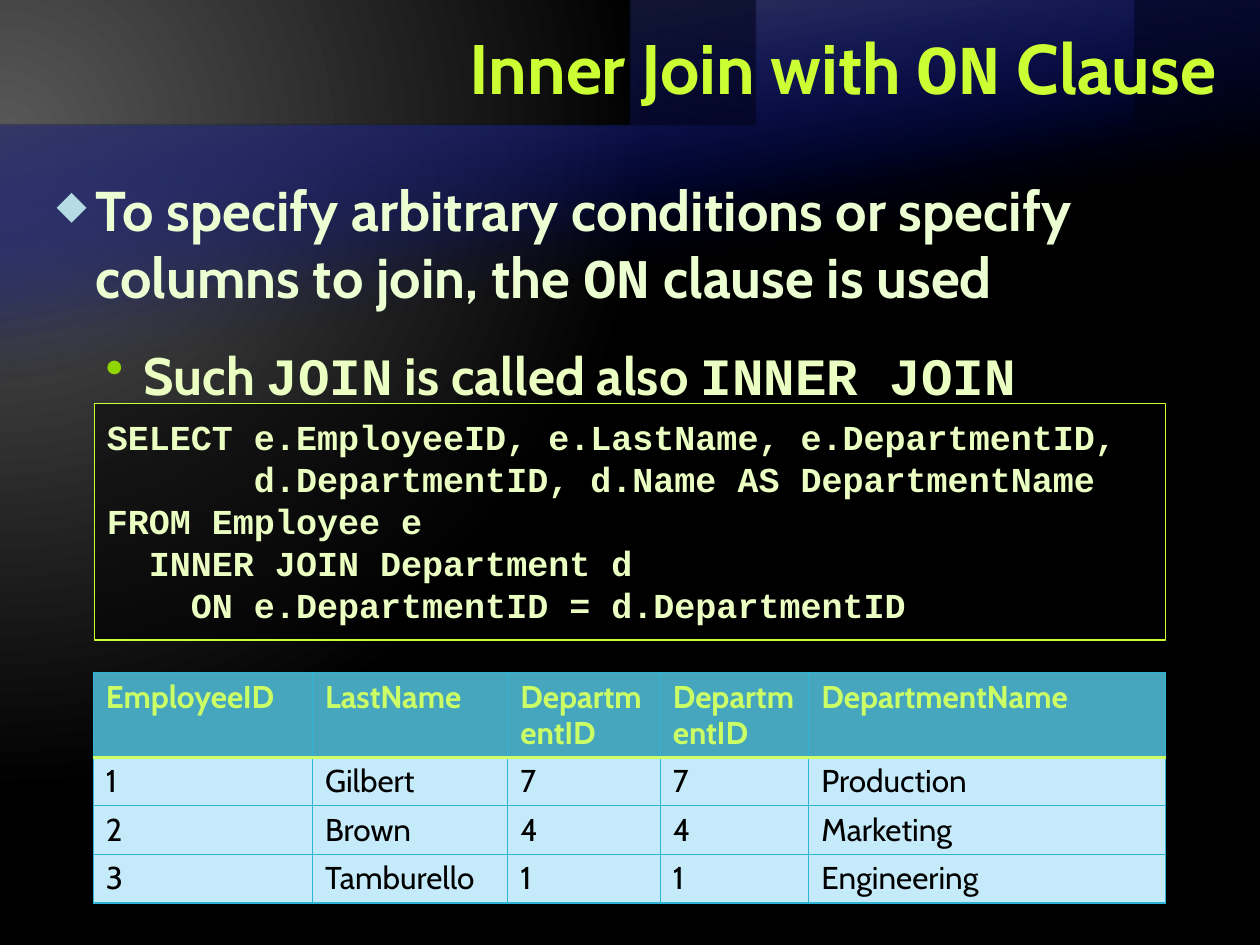
from pptx import Presentation
from pptx.dml.color import RGBColor
from pptx.enum.shapes import MSO_SHAPE as Shape
from pptx.enum.text import MSO_ANCHOR as Anchor, PP_ALIGN as Align
from pptx.oxml import parse_xml
from pptx.oxml.ns import nsdecls, qn
from pptx.util import Inches, Pt
from lxml.etree import SubElement

SANS, MONO = "Cabin", "Courier New"
LIME = RGBColor(0xCC, 0xFF, 0x33)
LIME_SOFT = RGBColor(0xCC, 0xFF, 0x66)
MINT = RGBColor(0xEB, 0xFF, 0xD2)
MINT_SOFT = RGBColor(0xEB, 0xFF, 0xC2)
BULLET_BLUE = RGBColor(0xB5, 0xDB, 0xE5)
BULLET_GREEN = RGBColor(0x8F, 0xD6, 0x00)
HEADER_BLUE = RGBColor(0x46, 0xA6, 0xBD)
CELL_BLUE = RGBColor(0xC5, 0xEA, 0xFA)
BORDER_BLUE = RGBColor(0x2E, 0xB5, 0xD5)
BLACK = RGBColor(0, 0, 0)

# Content: runs are (text, font name)
TITLE = [("Inner Join with ", SANS), ("ON", MONO), (" Clause", SANS)]
BULLETS = [
    dict(runs=[("To specify arbitrary conditions or specify columns to join, the ", SANS),
               ("ON", MONO), (" clause is used", SANS)],
         char="◆", char_color=BULLET_BLUE, char_size=70, left=0.31, hang=0.31,
         before=0, size=32, color=MINT),
    dict(runs=[("Such ", SANS), ("JOIN", MONO), (" is called also ", SANS),
               ("INNER JOIN", MONO)],
         char="•", char_color=BULLET_GREEN, char_size=100, left=0.69, hang=0.3,
         before=11, size=30, color=MINT_SOFT),
]
CODE = [
    "SELECT e.EmployeeID, e.LastName, e.DepartmentID,",
    "       d.DepartmentID, d.Name AS DepartmentName",
    "FROM Employee e",
    "  INNER JOIN Department d",
    "    ON e.DepartmentID = d.DepartmentID",
]
RESULT = [
    ("EmployeeID", "LastName", "DepartmentID", "DepartmentID", "DepartmentName"),
    ("1", "Gilbert", "7", "7", "Production"),
    ("2", "Brown", "4", "4", "Marketing"),
    ("3", "Tamburello", "1", "1", "Engineering"),
]
COLUMN_WIDTHS = [1.74, 1.55, 1.21, 1.18, 2.83]
ROW_HEIGHTS = [0.67] + [0.38] * 3
# Waves: curve control points from left to right, bottom, opaque end colour
WAVES = [
    ([(0, 1.33), (5, 1.33), (5.34, -0.75), (10, 0.45)], 6.53, "262626"),
    ([(0, 1.33), (5, 1.33), (5.98, -0.49), (10, 0.67)], 5.57, "595959"),
]


def add_run(paragraph, text, font_name, size, color, bold=True):
    run = paragraph.add_run()
    run.text = text
    for key, value in dict(name=font_name, size=Pt(size), bold=bold).items():
        setattr(run.font, key, value)
    run.font.color.rgb = color


def add_text_frame(slide, left, top, width, height):
    box = slide.shapes.add_textbox(*map(Inches, (left, top, width, height)))
    box.text_frame.word_wrap = True
    return box.text_frame


def next_paragraph(frame, index):
    return frame.add_paragraph() if index else frame.paragraphs[0]


def add_background(slide):
    slide.element.cSld.insert(0, parse_xml(
        f'<p:bg {nsdecls("p", "a")}><p:bgPr><a:gradFill rotWithShape="1"><a:gsLst>'
        '<a:gs pos="0"><a:srgbClr val="595959"/></a:gs>'
        '<a:gs pos="83000"><a:srgbClr val="000000"/></a:gs></a:gsLst>'
        '<a:path path="circle">'
        '<a:fillToRect l="20000" t="30000" r="135000" b="100000"/></a:path>'
        '</a:gradFill><a:effectLst/></p:bgPr></p:bg>'))


def add_wave(slide, controls, bottom, end_color, steps=60):
    def curve(t):
        weights = ((1 - t) ** 3, 3 * t * (1 - t) ** 2, 3 * t * t * (1 - t), t ** 3)
        return tuple(sum(w * point[axis] for w, point in zip(weights, controls))
                     for axis in (0, 1))

    points = [curve(i / steps) for i in range(steps + 1)] + [(10, bottom), (0, bottom)]
    builder = slide.shapes.build_freeform(*points[0], scale=Inches(1))
    builder.add_line_segments(points[1:], close=True)
    wave = builder.convert_to_shape()
    wave.shadow.inherit = False
    wave.line.fill.background()
    geometry = wave.element.spPr.find(qn("a:custGeom"))
    geometry.addnext(parse_xml(
        f'<a:gradFill {nsdecls("a")} rotWithShape="1"><a:gsLst>'
        '<a:gs pos="65000"><a:srgbClr val="000D9E"><a:alpha val="0"/></a:srgbClr></a:gs>'
        f'<a:gs pos="100000"><a:srgbClr val="{end_color}"/></a:gs></a:gsLst>'
        '<a:lin ang="15600000" scaled="0"/></a:gradFill>'))


def add_title(slide):
    frame = add_text_frame(slide, 2, 0.08, 7.75, 1)
    frame.vertical_anchor = Anchor.MIDDLE
    title = frame.paragraphs[0]
    title.alignment = Align.RIGHT
    title.line_spacing = Pt(40)
    for text, font_name in TITLE:
        add_run(title, text, font_name, 40, LIME)


def add_bullets(slide):
    frame = add_text_frame(slide, 0.35, 1.35, 9.29, 1.85)
    for index, item in enumerate(BULLETS):
        bullet = next_paragraph(frame, index)
        props = bullet._p.get_or_add_pPr()
        props.set("marL", str(Inches(item["left"])))
        props.set("indent", str(-Inches(item["hang"])))
        SubElement(SubElement(props, qn("a:buClr")), qn("a:srgbClr"),
                   val=str(item["char_color"]))
        SubElement(props, qn("a:buSzPct"), val=str(item["char_size"] * 1000))
        SubElement(props, qn("a:buChar"), char=item["char"])
        bullet.line_spacing = Pt(38)
        bullet.space_before = Pt(item["before"])
        bullet.space_after = Pt(6)
        for text, font_name in item["runs"]:
            add_run(bullet, text, font_name, item["size"], item["color"])


def add_code(slide):
    panel = slide.shapes.add_shape(Shape.RECTANGLE, *map(Inches, (0.75, 3.2, 8.5, 1.88)))
    panel.shadow.inherit = False
    panel.fill.solid()
    panel.fill.fore_color.rgb = BLACK
    fill_color = panel.element.spPr.find(qn("a:solidFill"))[0]
    SubElement(fill_color, qn("a:alpha"), val="50000")
    panel.line.color.rgb = LIME
    panel.line.width = Pt(0.75)
    frame = panel.text_frame
    frame.word_wrap = True
    frame.vertical_anchor = Anchor.TOP
    for side in ("left", "top", "right", "bottom"):
        setattr(frame, f"margin_{side}", Inches(0.1))
    for index, text in enumerate(CODE):
        line = next_paragraph(frame, index)
        line.alignment = Align.LEFT
        add_run(line, text, MONO, 20, MINT_SOFT)


def set_border(cell, side, color, width):
    border = SubElement(cell._tc.get_or_add_tcPr(), qn(f"a:ln{side}"), w=str(Pt(width)))
    SubElement(SubElement(border, qn("a:solidFill")), qn("a:srgbClr"), val=str(color))


def add_result(slide):
    table = slide.shapes.add_table(
        len(RESULT), len(COLUMN_WIDTHS), Inches(0.74), Inches(5.34),
        Inches(sum(COLUMN_WIDTHS)), Inches(sum(ROW_HEIGHTS))).table
    table.first_row = table.horz_banding = False
    for column, width in zip(table.columns, COLUMN_WIDTHS):
        column.width = Inches(width)
    for r, (row, height) in enumerate(zip(RESULT, ROW_HEIGHTS)):
        table.rows[r].height = Inches(height)
        header = r == 0
        for c, text in enumerate(row):
            cell = table.cell(r, c)
            for side in "LRTB":
                divider = (r, side) in ((0, "B"), (1, "T"))
                set_border(cell, side, *((LIME_SOFT, 2) if divider else (BORDER_BLUE, 0.75)))
            cell.fill.solid()
            cell.fill.fore_color.rgb = HEADER_BLUE if header else CELL_BLUE
            paragraph = cell.text_frame.paragraphs[0]
            paragraph.line_spacing = 0.95
            add_run(paragraph, text, SANS, 18, LIME_SOFT if header else BLACK, header)


def main():
    deck = Presentation()
    deck.slide_width, deck.slide_height = Inches(10), Inches(7.5)
    slide = deck.slides.add_slide(deck.slide_layouts[6])
    add_background(slide)
    for wave in WAVES:
        add_wave(slide, *wave)
    for add_part in (add_title, add_bullets, add_code, add_result):
        add_part(slide)
    deck.save("out.pptx")


if __name__ == "__main__":
    main()
